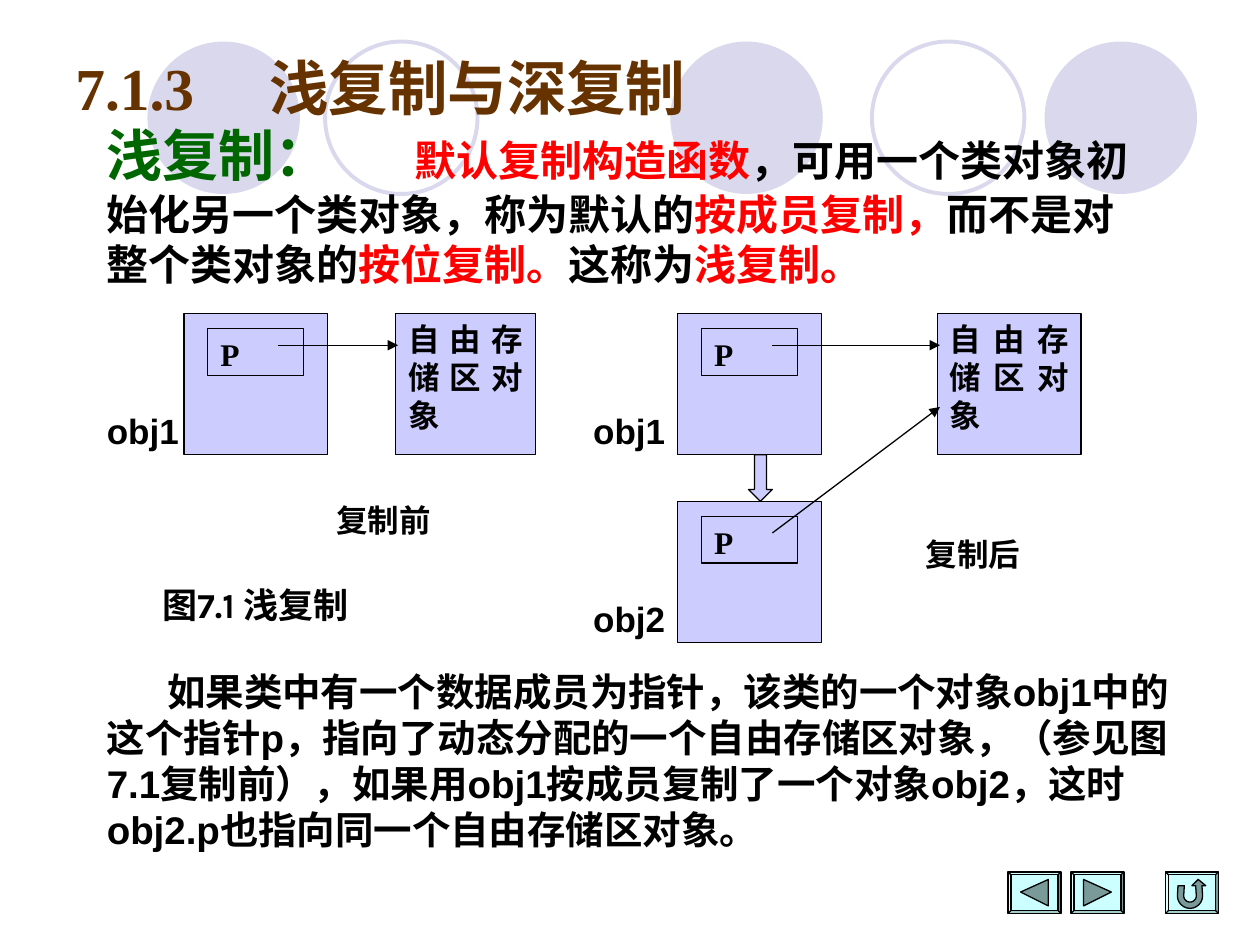
from dataclasses import dataclass
from math import cos, pi, sin

from lxml.etree import SubElement
from pptx import Presentation
from pptx.dml.color import RGBColor
from pptx.enum.lang import MSO_LANGUAGE_ID
from pptx.enum.shapes import MSO_CONNECTOR, MSO_SHAPE
from pptx.enum.text import MSO_ANCHOR, PP_ALIGN
from pptx.oxml.ns import qn
from pptx.util import Inches, Pt


@dataclass(frozen=True)
class Theme:
    black: str = "000000"
    red: str = "FF0000"
    green: str = "006600"
    brown: str = "663300"
    circle: str = "D9D8EC"
    box: str = "CCCCFF"
    button: str = "CCFFFF"
    icon: str = "7A9999"
    sans: str = "Arial"
    serif: str = "Times New Roman"
    caption: str = "Karla"
    title: int = 34
    heading: int = 32
    body: int = 24
    note: int = 22
    label: int = 20
    small: int = 18


T = Theme()


def style(sp, fill, line, width=0.75):
    """Set fill and outline; None leaves either one out."""
    sp.shadow.inherit = False
    for part, color in ((sp.fill, fill), (sp.line.fill, line)):
        if color:
            part.solid()
            part.fore_color.rgb = RGBColor.from_string(color)
        else:
            part.background()
    if line:
        sp.line.width = Pt(width)


def write(sp, runs, align=PP_ALIGN.LEFT, wrap=True, anchor=MSO_ANCHOR.TOP, tab=None, indent=None):
    """Fill one paragraph with (text, size, font, colour) runs, all bold."""
    tf = sp.text_frame
    tf.word_wrap = wrap
    tf.vertical_anchor = anchor
    p = tf.paragraphs[0]
    p.alignment = align
    pPr = p._p.get_or_add_pPr()
    if indent:
        pPr.set("indent", str(Inches(indent)))
    if tab:
        tabs = SubElement(pPr, qn("a:tabLst"))
        SubElement(tabs, qn("a:tab"), pos=str(Inches(tab)), algn="l")
    for text, size, font, color in runs:
        r = p.add_run()
        r.text = text
        r.font.size = Pt(size)
        r.font.name = font
        r.font.bold = True
        r.font.language_id = MSO_LANGUAGE_ID.SIMPLIFIED_CHINESE
        r.font.color.rgb = RGBColor.from_string(color)


prs = Presentation()
prs.slide_width, prs.slide_height = Inches(10), Inches(7.5)
s = prs.slides.add_slide(prs.slide_layouts[6])
shapes = s.shapes

# Background circles
for x, filled in ((1.17, True), (2.58, False), (5.32, True), (6.92, False), (8.29, True)):
    circle = shapes.add_shape(MSO_SHAPE.OVAL, Inches(x), Inches(0.33), Inches(1.21), Inches(1.21))
    style(circle, T.circle if filled else None, None if filled else T.circle, 2.25)

# Title and definition
title = shapes.add_textbox(Inches(0.5), Inches(0.3), Inches(9), Inches(0.77))
write(title, [("7.1.3\t浅复制与深复制", T.title, T.serif, T.brown)], anchor=MSO_ANCHOR.MIDDLE, tab=1.54)

definition = shapes.add_textbox(Inches(0.75), Inches(0.91), Inches(8.33), Inches(1.44))
write(definition, [("浅复制：", T.heading, T.sans, T.green)] + [
    (text, T.body, T.serif, color) for text, color in (
        ("\t默认复制构造函数", T.red),
        ("，可用一个类对象初始化另一个类对象，称为默认的", T.black),
        ("按成员复制，", T.red),
        ("而不是对整个类对象的", T.black),
        ("按位复制。", T.red),
        ("这称为", T.black),
        ("浅复制。", T.red),
    )
], tab=2.44)

# Objects, each holding a pointer
for x, y in ((1.46, 2.49), (5.38, 2.49), (5.38, 3.98)):
    obj = shapes.add_shape(MSO_SHAPE.RECTANGLE, Inches(x), Inches(y), Inches(1.14), Inches(1.12))
    style(obj, T.box, T.black)
    pointer = shapes.add_shape(
        MSO_SHAPE.RECTANGLE, Inches(x + 0.19), Inches(y + 0.12), Inches(0.76), Inches(0.37))
    style(pointer, T.box, T.black)
    write(pointer, [("P", T.small, T.serif, T.black)], PP_ALIGN.JUSTIFY)

# Free store objects
for x, width in ((3.14, 1.11), (7.44, 1.14)):
    store = shapes.add_shape(MSO_SHAPE.RECTANGLE, Inches(x), Inches(2.49), Inches(width), Inches(1.12))
    style(store, T.box, T.black)
    write(store, [("自由存储区对象", T.small, T.serif, T.black)], PP_ALIGN.JUSTIFY)

copy_arrow = shapes.add_shape(MSO_SHAPE.DOWN_ARROW, Inches(5.94), Inches(3.61), Inches(0.19), Inches(0.37))
style(copy_arrow, T.box, T.black)

# Pointer arrows
for x1, y1, x2, y2 in ((2.21, 2.74, 3.16, 2.74), (6.13, 2.74, 7.46, 2.74), (6.13, 4.23, 7.46, 3.23)):
    arrow = shapes.add_connector(MSO_CONNECTOR.STRAIGHT, Inches(x1), Inches(y1), Inches(x2), Inches(y2))
    arrow.line.color.rgb = RGBColor.from_string(T.black)
    arrow.line.width = Pt(0.75)
    SubElement(arrow.line._get_or_add_ln(), qn("a:tailEnd"), type="triangle")
    SubElement(arrow._element.spPr, qn("a:effectLst"))

# Labels
for text, x, y, width, size in (
    ("obj1", 0.75, 3.2, 0.77, T.label),
    ("obj1", 4.61, 3.2, 0.77, T.label),
    ("obj2", 4.61, 4.69, 0.77, T.label),
    ("复制前", 2.57, 3.93, 1, T.small),
    ("复制后", 7.25, 4.2, 1, T.small),
):
    label = shapes.add_textbox(Inches(x), Inches(y), Inches(width), Inches(0.42))
    write(label, [(text, size, T.sans, T.black)], wrap=False)

caption = shapes.add_textbox(Inches(1.19), Inches(4.58), Inches(2.31), Inches(0.46))
write(caption, [
    ("图", T.label, T.serif, T.black),
    ("7.1 ", T.label, T.caption, T.black),
    ("浅复制", T.label, T.serif, T.black),
])

explanation = shapes.add_textbox(Inches(0.75), Inches(5.25), Inches(8.74), Inches(1.57))
write(explanation, [(
    "如果类中有一个数据成员为指针，该类的一个对象obj1中的这个指针p，指向了动态分配的一个自由存储区对象，"
    "（参见图7.1复制前），如果用obj1按成员复制了一个对象obj2，这时obj2.p也指向同一个自由存储区对象。",
    T.note, T.sans, T.black)], indent=0.48)

# Navigation buttons, icon points relative to the button corner
arcs = [[(0.195 + r * cos(a * pi / 12), 0.19 + r * sin(a * pi / 12)) for a in range(13)]
        for r in (0.05, 0.1)]
back = [(0.1, 0.16), (0.32, 0.06), (0.32, 0.27)]
forward = [(0.1, 0.06), (0.32, 0.16), (0.1, 0.27)]
back_up = ([(0.1, 0.11), (0.15, 0.11)] + arcs[0][::-1]
           + [(0.24, 0.11), (0.21, 0.11), (0.26, 0.06), (0.32, 0.11), (0.29, 0.11)] + arcs[1])
for x, icon_points in ((8, back), (8.5, forward), (9.25, back_up)):
    button = shapes.add_shape(MSO_SHAPE.BEVEL, Inches(x), Inches(6.92), Inches(0.42), Inches(0.33))
    button.adjustments[0] = 0.07
    style(button, T.button, T.black)
    points = [(Inches(x + dx), Inches(6.92 + dy)) for dx, dy in icon_points]
    outline = shapes.build_freeform(*points[0])
    outline.add_line_segments(points[1:], close=True)
    style(outline.convert_to_shape(), T.icon, T.black)

prs.save("out.pptx")
